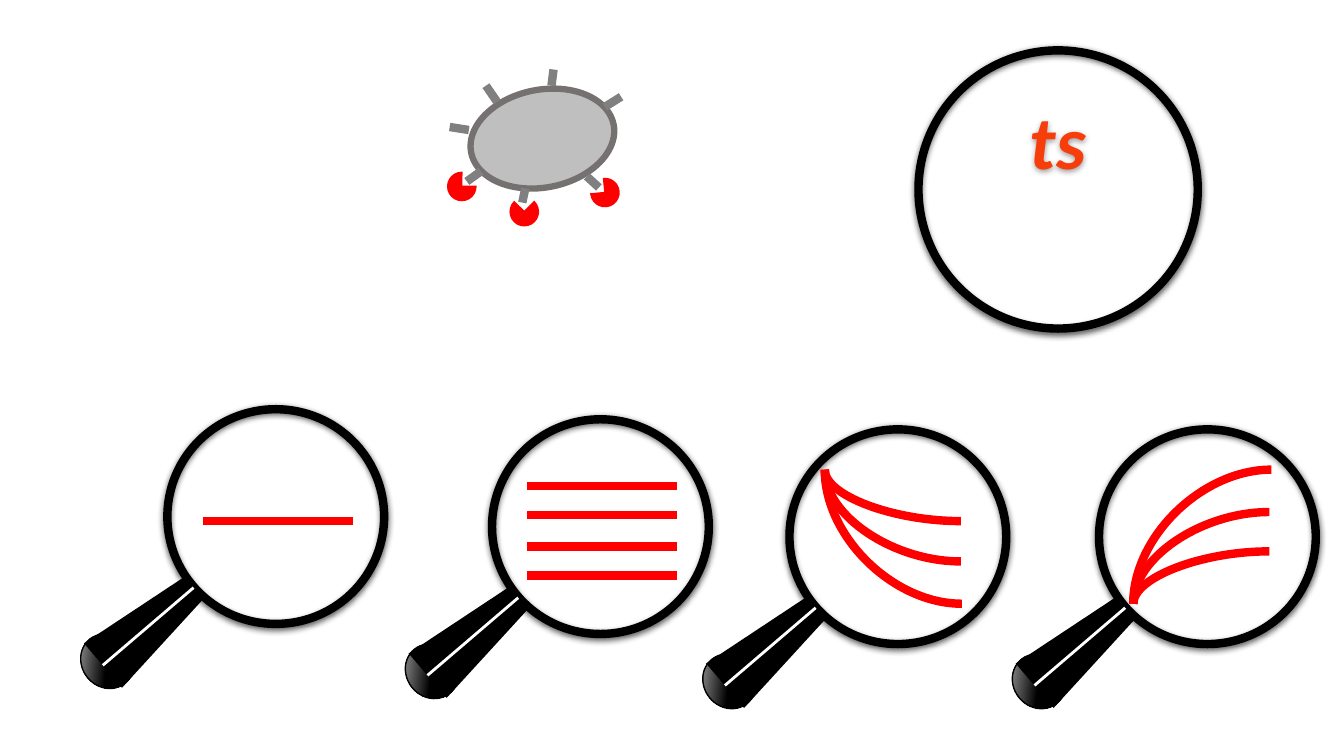
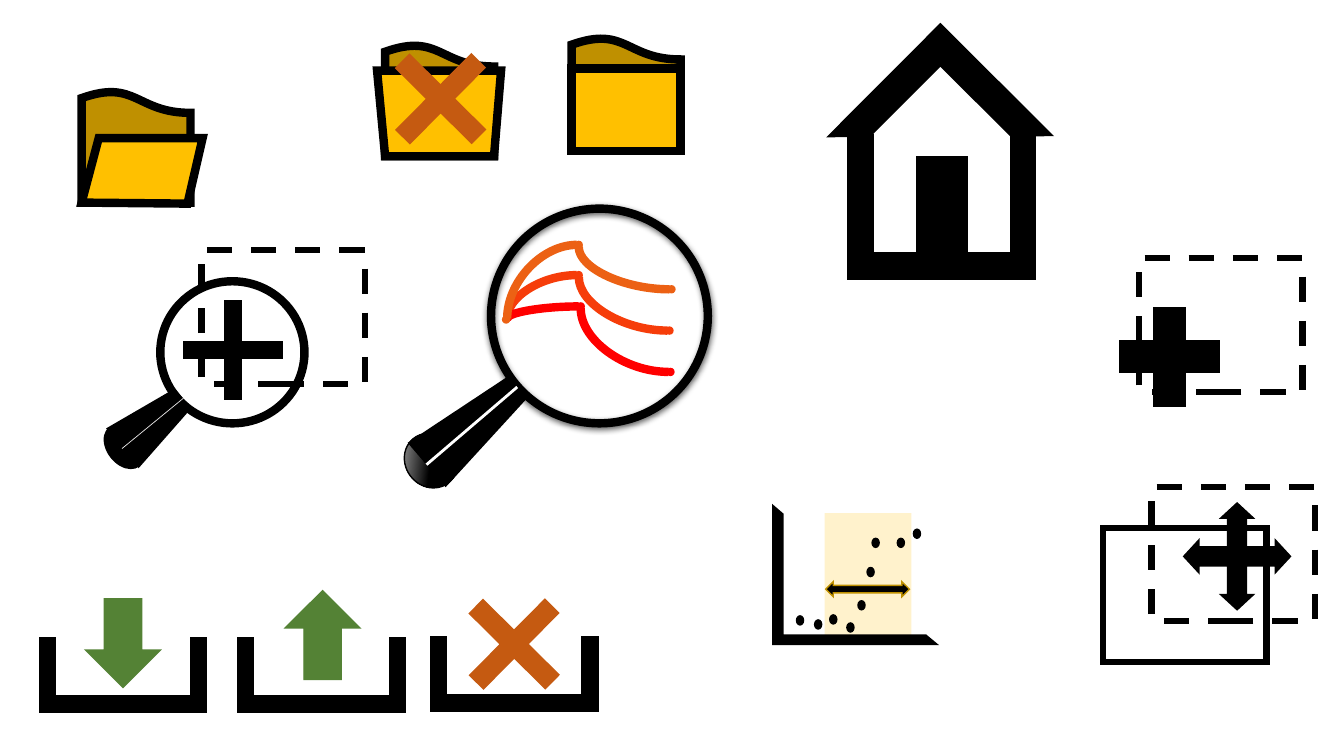
from lxml.etree import SubElement
from pptx import Presentation
from pptx.dml.color import RGBColor
from pptx.enum.dml import MSO_LINE
from pptx.enum.shapes import MSO_CONNECTOR as CONNECTOR, MSO_SHAPE as SHAPE
from pptx.enum.text import MSO_AUTO_SIZE, PP_ALIGN
from pptx.oxml.ns import qn
from pptx.util import Pt

PX = 9144  # EMU per px, 100 px to the inch
SLIDE_SIZE = (1333, 750)
FONT = "Calibri"
COLORS = {
    "black": "000000", "white": "FFFFFF", "pale": "E7E6E6", "silver": "BFBFBF",
    "gray": "808080", "outline": "767171", "red": "FF0000", "scarlet": "F63D0A",
    "orange": "EC6114", "blue": "5B9BD5", "green": "548235", "rust": "C55A11",
    "gold": "FFC000", "dark gold": "BF9000", "cream": "FFF2CC",
}

# Slide 1: cell with receptors, four magnifiers, one plain lens
CELL = (466, 89, 144, 97)
RECEPTORS = [(444, 171, 0), (506, 196, 314.5), (586, 177, 264.6)]
SPIKES = [
    (521, 187, 518, 201), (582, 175, 594, 186), (477, 170, 463, 180),
    (465, 129, 446, 126), (549, 69, 547, 85), (616, 96, 600, 106),
    (482, 85, 493, 101),
]
MAGNIFIERS = [
    {"at": (166, 406), "lines": [(201, 517, 350, 517)]},
    {"at": (488, 416), "lines": [(523, y, 671, y) for y in (482, 511, 542, 571)]},
    {"at": (783, 426), "curves": [(818, 466, 953, 557), (818, 466, 954, 599),
                                  (818, 466, 953, 517)]},
    {"at": (1090, 426), "curves": [(1124, 599, 1259, 508), (1124, 599, 1261, 466),
                                   (1124, 599, 1259, 547)]},
]
LENS = (911, 50, 277, 276)
LENS_TEXT = ("ts", (943, 88, 212, 192))

# Slide 2: toolbar icons
TRACES = [
    ("scarlet", [(572, 271), (662, 326)],
     [(503, 316, 572, 273), (574, 275, 662, 328)]),
    ("red", [(574, 302), (663, 367)],
     [(503, 316, 574, 304), (576, 306, 663, 369)]),
    ("orange", [(572, 241), (500, 315), (664, 285)],
     [(503, 316, 572, 243), (574, 245, 664, 287)]),
]
TRACE_MAGNIFIER = (487, 207)
CROSS_ARMS = (0.399, 0.091, 0)
CORNER_ARMS = (0.223, 0.212)
TRAYS = [
    ((39, 633), SHAPE.DOWN_ARROW, (85, 594, 74, 88), {"fill": "green"}),
    ((427, 632), SHAPE.QUAD_ARROW, (457, 586, 106, 106),
     {"fill": "rust", "rotation": 314.7, "adjust": CROSS_ARMS}),
    ((236, 633), SHAPE.DOWN_ARROW, (283, 586, 74, 88), {"fill": "green", "flip": "V"}),
]
FOLDERS = [
    {"back": (382, 44), "front": [(382, 155), (374, 70), (497, 70), (490, 155)],
     "cross": (384, 45, 106, 106)},
    {"back": (81, 90), "front": [(81, 201), (98, 137), (201, 137), (186, 202)]},
    {"back": (567, 37), "box": (567, 68, 108, 82)},
]
FOLDER_BACK_SIZE = (108, 111)
MARQUEE_SIZE = (162, 133)
HOUSE_WALLS = [(841, 134, 117, 143), (910, 134, 117, 143)]
ROOF = (854, 56, 157, 158)
DOOR = (909, 155, 50, 105)
PLOT_BAND = (818, 509, 86, 126)
PLOT_AXES = (770, 509, 150, 127)
PLOT_ARROW = (819, 577, 83, 15)
DOT_SIZE = (7, 9)
DOTS = [(823, 610), (840, 618), (851, 596), (860, 563), (865, 534),
        (890, 534), (808, 615), (790, 611), (906, 525)]


def emu(*lengths):
    return [round(length * PX) for length in lengths]


def color(name):
    return RGBColor.from_string(COLORS[name])


def new_group(slide):
    return slide.shapes.add_group_shape().shapes


def paint(shape, fill=None, line=None, weight=1, dash=None):
    """Set fill and outline; None means no fill or no outline."""
    shape.shadow.inherit = False
    if fill:
        shape.fill.solid()
        shape.fill.fore_color.rgb = color(fill)
    else:
        shape.fill.background()
    if line:
        shape.line.color.rgb = color(line)
        shape.line.width = Pt(weight)
        if dash:
            shape.line.dash_style = dash
        SubElement(shape.line._get_or_add_ln(), qn("a:miter"), lim="800000")
    else:
        shape.line.fill.background()
    return shape


def add_part(group, kind, box, rotation=0, flip=None, adjust=(), **style):
    shape = group.add_shape(kind, *emu(*box))
    shape.rotation = rotation
    for index, value in enumerate(adjust):
        shape.adjustments[index] = value
    if flip:
        shape._element.spPr.xfrm.set("flip" + flip, "1")
    return paint(shape, **style)


def add_solid(group, kind, box, fill="black", **options):
    """Add a shape whose outline has the colour of its fill."""
    return add_part(group, kind, box, fill=fill, line=fill, **options)


def add_soft_shadow(shape, opacity=63):
    shape.shadow.inherit = False
    effects = shape._element.spPr.find(qn("a:effectLst"))
    shadow = SubElement(effects, qn("a:outerShdw"), blurRad=str(Pt(4.5)),
                        dist=str(Pt(1.5)), dir="5400000", rotWithShape="0")
    black = SubElement(shadow, qn("a:srgbClr"), val=COLORS["black"])
    SubElement(black, qn("a:alpha"), val=str(opacity * 1000))


def add_line(group, ends, line, weight, kind=CONNECTOR.STRAIGHT):
    connector = group.add_connector(kind, *emu(*ends))
    connector.line.color.rgb = color(line)
    connector.line.width = Pt(weight)
    SubElement(connector._element.spPr, qn("a:effectLst"))
    return connector


def add_curve(group, ends, line):
    """Add a quarter curve that leaves vertically and arrives horizontally."""
    x1, y1, x2, y2 = ends
    middle_x, middle_y = (x1 + x2) / 2, (y1 + y2) / 2
    falling = y2 > y1
    half_height = abs(y2 - y1) / 2
    half_width = (x2 - x1) / 2 if falling else (x1 - x2) / 2
    turned = (middle_x + half_height, middle_y - half_width,
              middle_x - half_height, middle_y + half_width)
    connector = add_line(group, turned, line, 6, CONNECTOR.CURVE)
    properties = connector._element.spPr
    properties.find(qn("a:prstGeom")).set("prst", "curvedConnector2")
    properties.xfrm.set("rot", str((270 if falling else 90) * 60000))


def add_lens(group, box):
    add_soft_shadow(add_part(group, SHAPE.OVAL, box, line="black", weight=6))


def add_magnifier(group, left, top):
    add_lens(group, (left, top, 215, 213))
    knob = add_solid(group, SHAPE.OVAL, (left - 85, top + 222, 51, 56), rotation=321.8)
    knob.fill.gradient()
    knob.fill.gradient_angle = 315
    for stop, (name, position) in zip(knob.fill.gradient_stops,
                                      [("silver", 0), ("black", 0.5)]):
        stop.color.rgb = color(name)
        stop.position = position
    add_part(group, SHAPE.TRAPEZOID, (left - 48, top + 157, 58, 118),
             rotation=49.5, fill="black")
    add_line(group, (left - 64, top + 254, left + 26, top + 177), "white", 2)


def add_cell(slide):
    group = new_group(slide)
    add_part(group, SHAPE.OVAL, CELL, rotation=348.9, fill="silver",
             line="outline", weight=4.5)
    for left, top, rotation in RECEPTORS:
        add_solid(group, SHAPE.PIE, (left, top, 28, 28), fill="red", rotation=rotation)
    for ends in SPIKES:
        add_line(group, ends, "gray", 6)


def add_text_lens(slide):
    group = new_group(slide)
    text, box = LENS_TEXT
    text_box = group.add_textbox(*emu(*box))
    frame = text_box.text_frame
    frame.word_wrap = False
    frame.auto_size = MSO_AUTO_SIZE.SHAPE_TO_FIT_TEXT
    paragraph = frame.paragraphs[0]
    paragraph.alignment = PP_ALIGN.CENTER
    run = paragraph.add_run()
    run.text = text
    font = run.font
    font.name, font.size, font.bold, font.italic = FONT, Pt(54), True, True
    font.color.rgb = color("scarlet")
    run._r.get_or_add_rPr().set("spc", "50")
    add_soft_shadow(text_box, 40)
    add_lens(group, LENS)


def add_trace_magnifier(slide):
    group = new_group(slide)
    for name, joints, curves in TRACES:
        for joint in joints:
            add_part(group, SHAPE.OVAL, (*joint, 4, 4), fill="blue", line=name, weight=3)
        for ends in curves:
            add_curve(group, ends, name)
    add_magnifier(group, *TRACE_MAGNIFIER)


def add_tray(slide, corner, kind, box, options):
    group = new_group(slide)
    left, top = corner
    for offset, flip in ((0, None), (62, "H")):
        add_solid(group, SHAPE.CORNER, (left + offset, top, 104, 74),
                  flip=flip, adjust=CORNER_ARMS)
    add_solid(group, kind, box, **options)


def add_folder(slide, folder):
    group = new_group(slide)
    add_part(group, SHAPE.FLOWCHART_DOCUMENT, (*folder["back"], *FOLDER_BACK_SIZE),
             flip="V", fill="dark gold", line="black", weight=6)
    front = {"fill": "gold", "line": "black", "weight": 6}
    if "front" in folder:
        start, *others = folder["front"]
        builder = group.build_freeform(*start, scale=PX)
        builder.add_line_segments(others, close=True)
        paint(builder.convert_to_shape(), **front)
    else:
        add_part(group, SHAPE.RECTANGLE, folder["box"], **front)
    if "cross" in folder:
        add_solid(group, SHAPE.QUAD_ARROW, folder["cross"], fill="rust",
                  rotation=314.7, adjust=CROSS_ARMS)


def add_marquee(group, left, top, dash=MSO_LINE.DASH):
    add_part(group, SHAPE.RECTANGLE, (left, top, *MARQUEE_SIZE),
             line="black", weight=4.5, dash=dash)


def add_selection_icons(slide):
    zoom = new_group(slide)
    add_part(zoom, SHAPE.OVAL, (106, 419, 34, 49), rotation=321.8, fill="black")
    add_part(zoom, SHAPE.OVAL, (159, 279, 143, 141), line="black", weight=6)
    add_part(zoom, SHAPE.TRAPEZOID, (126, 381, 51, 78), rotation=50.6, fill="black")
    add_line(zoom, (121, 445, 182, 395), "pale", 0.5)
    add_solid(zoom, SHAPE.CROSS, (182, 298, 98, 98), adjust=[0.417])
    add_marquee(zoom, 200, 248)

    move = new_group(slide)
    add_marquee(move, 1142, 483)
    add_marquee(move, 1094, 524, dash=None)
    add_solid(move, SHAPE.QUAD_ARROW, (1174, 499, 106, 106), adjust=(0.177, 0.154, 0.142))

    extend = new_group(slide)
    add_solid(extend, SHAPE.CROSS, (1111, 305, 98, 98), adjust=[0.34])
    add_marquee(extend, 1130, 256)


def add_house(slide):
    group = new_group(slide)
    for box, flip in zip(HOUSE_WALLS, (None, "H")):
        add_solid(group, SHAPE.CORNER, box, flip=flip, adjust=CORNER_ARMS)
    add_solid(group, SHAPE.HALF_FRAME, ROOF, rotation=44.9, adjust=(0.188, 0.187))
    add_solid(group, SHAPE.RECTANGLE, DOOR)


def add_range_plot(slide):
    group = new_group(slide)
    add_part(group, SHAPE.RECTANGLE, PLOT_BAND, fill="cream")
    add_part(group, SHAPE.HALF_FRAME, PLOT_AXES, flip="V", adjust=(0.02, 0.024),
             fill="gold", line="black", weight=6)
    for dot in DOTS:
        add_solid(group, SHAPE.OVAL, (*dot, *DOT_SIZE))
    add_part(group, SHAPE.LEFT_RIGHT_ARROW, PLOT_ARROW, fill="black", line="dark gold")


def main():
    presentation = Presentation()
    presentation.slide_width, presentation.slide_height = emu(*SLIDE_SIZE)
    blank = presentation.slide_layouts[6]

    slide = presentation.slides.add_slide(blank)
    add_cell(slide)
    for magnifier in MAGNIFIERS:
        group = new_group(slide)
        add_magnifier(group, *magnifier["at"])
        for ends in magnifier.get("lines", []):
            add_line(group, ends, "red", 6)
        for ends in magnifier.get("curves", []):
            add_curve(group, ends, "red")
    add_text_lens(slide)

    slide = presentation.slides.add_slide(blank)
    add_trace_magnifier(slide)
    for tray in TRAYS:
        add_tray(slide, *tray)
    for folder in FOLDERS:
        add_folder(slide, folder)
    add_selection_icons(slide)
    add_house(slide)
    add_range_plot(slide)
    presentation.save("out.pptx")


if __name__ == "__main__":
    main()
